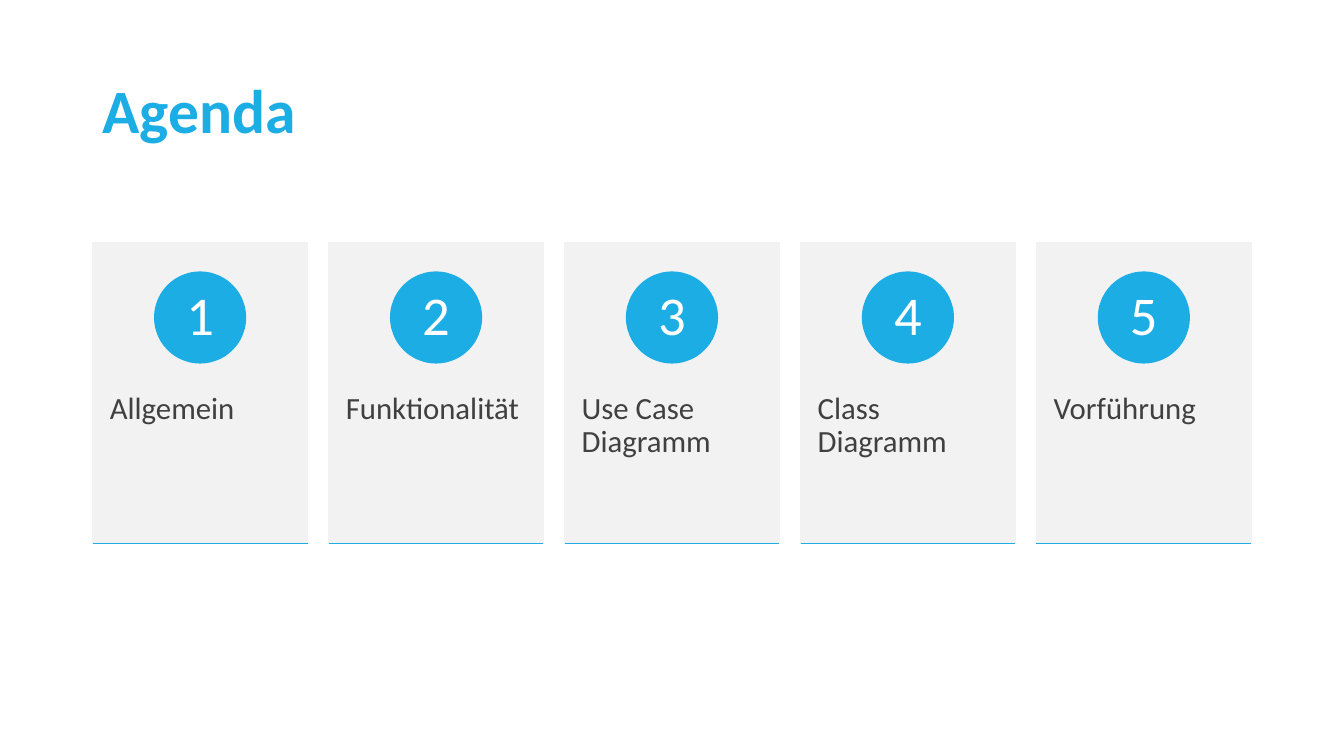
from dataclasses import dataclass

from lxml import etree
from pptx import Presentation
from pptx.dml.color import RGBColor
from pptx.enum.shapes import MSO_CONNECTOR, MSO_SHAPE
from pptx.enum.text import MSO_ANCHOR, PP_ALIGN
from pptx.oxml.ns import qn
from pptx.util import Inches, Pt

RECTANGLE, OVAL = MSO_SHAPE.RECTANGLE, MSO_SHAPE.OVAL
STRAIGHT = MSO_CONNECTOR.STRAIGHT
TOP, MIDDLE = MSO_ANCHOR.TOP, MSO_ANCHOR.MIDDLE
LEFT, CENTER = PP_ALIGN.LEFT, PP_ALIGN.CENTER


@dataclass(frozen=True)
class Theme:
    font: str = "Calibri"
    accent: RGBColor = RGBColor(0x1C, 0xAD, 0xE4)
    panel: RGBColor = RGBColor(0xF2, 0xF2, 0xF2)
    body: RGBColor = RGBColor(0x40, 0x40, 0x40)
    white: RGBColor = RGBColor(0xFF, 0xFF, 0xFF)
    title_size: int = 44
    number_size: int = 39
    topic_size: int = 22
    line_width: int = 1


THEME = Theme()
TOPICS = ["Allgemein", "Funktionalität", "Use Case Diagramm",
          "Class Diagramm", "Vorführung"]

MARGIN = 0.92
CARD_TOP, CARD_WIDTH, CARD_HEIGHT = 2.41, 2.13, 2.98
CARD_PITCH = 2.34
BADGE_TOP, BADGE_SIZE = 2.7, 0.9


def write(shape, text, size, color, insets, align=LEFT, anchor=TOP, bold=False):
    """Fill a shape with one paragraph; insets are left, top, right, bottom."""
    frame = shape.text_frame
    frame.word_wrap = True
    frame.vertical_anchor = anchor
    (frame.margin_left, frame.margin_top,
     frame.margin_right, frame.margin_bottom) = map(Inches, insets)
    paragraph = frame.paragraphs[0]
    paragraph.alignment = align
    paragraph.line_spacing = 0.9
    run = paragraph.add_run()
    run.text = text
    run.font.name = THEME.font
    run.font.size = Pt(size)
    run.font.bold = bold
    run.font.color.rgb = color


def add_block(shapes, kind, left, top, width, height, color):
    block = shapes.add_shape(kind, Inches(left), Inches(top),
                             Inches(width), Inches(height))
    block.shadow.inherit = False
    block.fill.solid()
    block.fill.fore_color.rgb = color
    block.line.color.rgb = color
    block.line.width = Pt(THEME.line_width)
    return block


def add_rule(shapes, left, top, width):
    rule = shapes.add_connector(STRAIGHT, Inches(left), Inches(top),
                                Inches(left + width), Inches(top))
    rule.line.color.rgb = THEME.accent
    rule.line.width = Pt(THEME.line_width)
    etree.SubElement(rule._element.spPr, qn("a:effectLst"))


def add_card(slide, number, topic):
    """Add one grouped agenda card: panel, numbered badge and bottom rule."""
    shapes = slide.shapes.add_group_shape().shapes
    left = MARGIN + (number - 1) * CARD_PITCH
    panel = add_block(shapes, RECTANGLE, left, CARD_TOP,
                      CARD_WIDTH, CARD_HEIGHT, THEME.panel)
    write(panel, topic, THEME.topic_size, THEME.body, (0.17, 1.49, 0.17, 0.42))
    badge = add_block(shapes, OVAL, left + (CARD_WIDTH - BADGE_SIZE) / 2,
                      BADGE_TOP, BADGE_SIZE, BADGE_SIZE, THEME.accent)
    write(badge, str(number), THEME.number_size, THEME.white,
          (0.07, 0.01, 0.07, 0.01), CENTER, MIDDLE)
    add_rule(shapes, left, CARD_TOP + CARD_HEIGHT, CARD_WIDTH)


def add_title(slide, text):
    title = slide.shapes.add_textbox(Inches(MARGIN), Inches(0.4),
                                     Inches(11.5), Inches(1.45))
    write(title, text, THEME.title_size, THEME.accent,
          (0.1, 0.05, 0.1, 0.05), anchor=MIDDLE, bold=True)


def main():
    deck = Presentation()
    deck.slide_width, deck.slide_height = Inches(13.33), Inches(7.5)
    slide = deck.slides.add_slide(deck.slide_layouts[6])
    add_title(slide, "Agenda")
    for number, topic in enumerate(TOPICS, start=1):
        add_card(slide, number, topic)
    deck.save("out.pptx")


if __name__ == "__main__":
    main()
